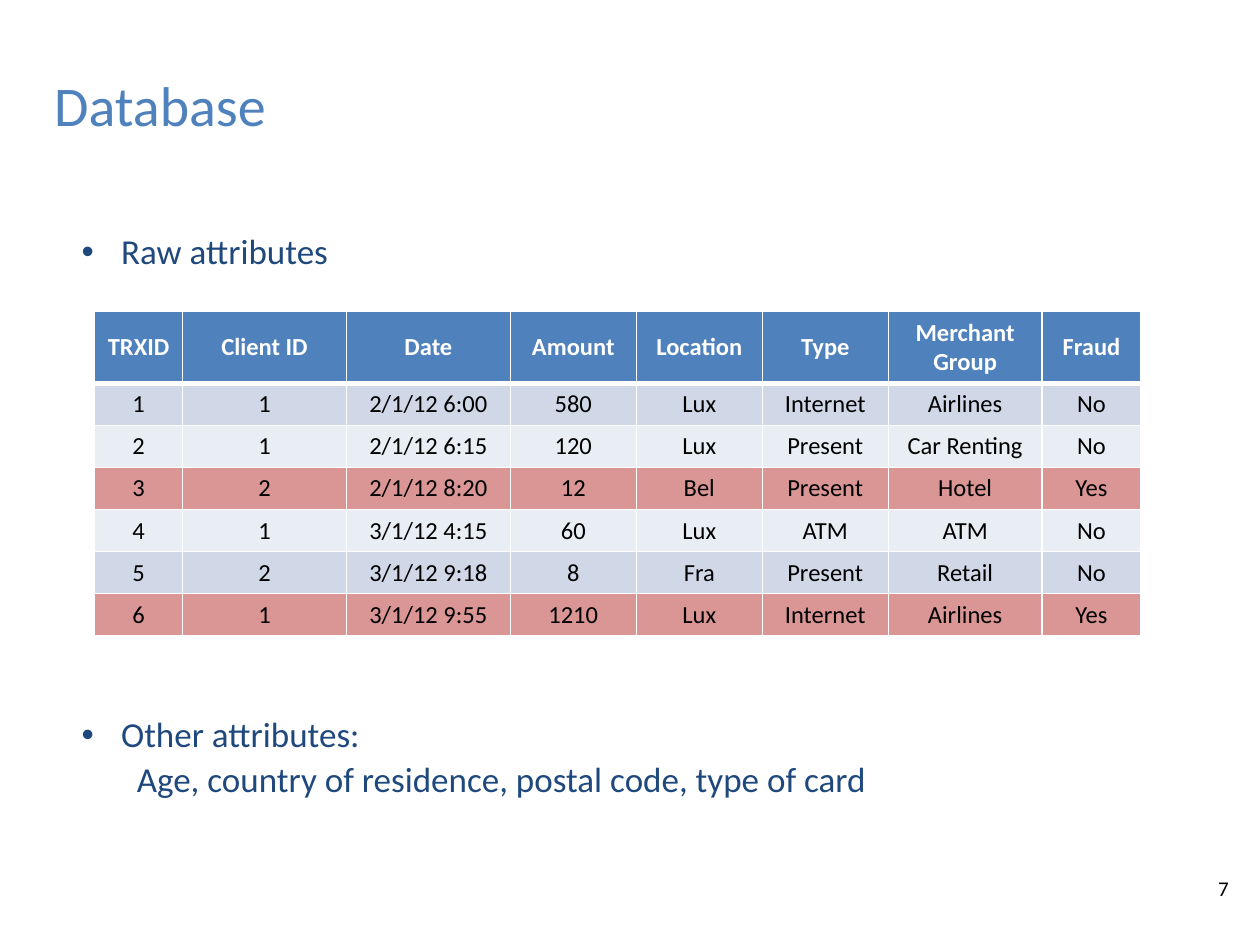
from typing import NamedTuple

from lxml.etree import SubElement
from pptx import Presentation
from pptx.dml.color import RGBColor
from pptx.enum.text import MSO_ANCHOR, PP_ALIGN
from pptx.oxml.ns import qn
from pptx.util import Pt

FONT = "Calibri"
WHITE, BLACK, NAVY, BLUE = "FFFFFF", "000000", "1F497D", "4F81BD"
DARK_BAND, LIGHT_BAND, FRAUD_BAND = "D0D8E8", "E9EDF4", "D99694"
COLUMN_WIDTHS = (50.4, 93.6, 93.6, 72, 72, 72, 87.84, 56.6)
HEADER_HEIGHT, ROW_HEIGHT = 41, 24


class Transaction(NamedTuple):
    number: str
    client: str
    date: str
    amount: str
    location: str
    kind: str
    merchant_group: str
    fraud: str


class BodyLine(NamedTuple):
    text: str
    space_before: float
    margin: float
    bullet: bool


HEADER = Transaction("TRXID", "Client ID", "Date", "Amount", "Location", "Type",
                     "Merchant Group", "Fraud")
TRANSACTIONS = (
    Transaction("1", "1", "2/1/12 6:00", "580", "Lux", "Internet", "Airlines", "No"),
    Transaction("2", "1", "2/1/12 6:15", "120", "Lux", "Present", "Car Renting", "No"),
    Transaction("3", "2", "2/1/12 8:20", "12", "Bel", "Present", "Hotel", "Yes"),
    Transaction("4", "1", "3/1/12 4:15", "60", "Lux", "ATM", "ATM", "No"),
    Transaction("5", "2", "3/1/12 9:18", "8", "Fra", "Present", "Retail", "No"),
    Transaction("6", "1", "3/1/12 9:55", "1210", "Lux", "Internet", "Airlines", "Yes"),
)
BODY_LINES = (
    BodyLine("Raw attributes", 0, 22.5, True),
    BodyLine("Other attributes:", 254.5, 22.5, True),
    BodyLine("Age, country of residence, postal code, type of card", 4, 31.5, False),
)


def color(value: str) -> RGBColor:
    return RGBColor.from_string(value)


def style_font(paragraph, size: float, font_color: str, bold: bool = False) -> None:
    font = paragraph.font
    font.name, font.size, font.bold = FONT, Pt(size), bold
    font.color.rgb = color(font_color)


def add_text_box(slide, left: float, top: float, width: float, height: float, wrap: bool = True):
    box = slide.shapes.add_textbox(Pt(left), Pt(top), Pt(width), Pt(height))
    box.text_frame.word_wrap = wrap
    return box.text_frame


def add_label(slide, text: str, left: float, top: float, width: float, height: float,
              size: float, font_color: str) -> None:
    paragraph = add_text_box(slide, left, top, width, height, wrap=False).paragraphs[0]
    paragraph.text = text
    style_font(paragraph, size, font_color)


def add_body(slide) -> None:
    frame = add_text_box(slide, 39.6, 106.5, 649.5, 390)
    frame.margin_top = Pt(27.5)
    for index, line in enumerate(BODY_LINES):
        paragraph = frame.add_paragraph() if index else frame.paragraphs[0]
        paragraph.text = line.text
        paragraph.line_spacing = 0.9
        paragraph.space_before = Pt(line.space_before)
        style_font(paragraph, 20, NAVY)
        properties = paragraph._p.get_or_add_pPr()
        properties.set("marL", str(Pt(line.margin)))
        properties.set("indent", str(-Pt(line.margin) if line.bullet else 0))
        if line.bullet:
            bullet_font = properties.makeelement(qn("a:buFont"), {"typeface": "Arial"})
            bullet = properties.makeelement(qn("a:buChar"), {"char": "•"})
            default_run = properties.find(qn("a:defRPr"))
            default_run.addprevious(bullet_font)
            default_run.addprevious(bullet)


def set_borders(cell, top: float, bottom: float) -> None:
    properties = cell._tc.get_or_add_tcPr()
    for side, width in (("L", 1), ("R", 1), ("T", top), ("B", bottom)):
        line = SubElement(properties, qn(f"a:ln{side}"), w=str(Pt(width)))
        fill = SubElement(line, qn("a:solidFill"))
        SubElement(fill, qn("a:srgbClr"), val=WHITE)


def row_fill(index: int, row: Transaction) -> str:
    if index == 0:
        return BLUE
    if row.fraud == "Yes":
        return FRAUD_BAND
    return DARK_BAND if index % 2 else LIGHT_BAND


def add_transaction_table(slide) -> None:
    rows = (HEADER, *TRANSACTIONS)
    height = HEADER_HEIGHT + ROW_HEIGHT * len(TRANSACTIONS)
    table = slide.shapes.add_table(len(rows), len(COLUMN_WIDTHS), Pt(54), Pt(178),
                                   Pt(sum(COLUMN_WIDTHS)), Pt(height)).table
    table.horz_banding = False
    for column, width in zip(table.columns, COLUMN_WIDTHS):
        column.width = Pt(width)
    for row_index, row in enumerate(rows):
        is_header = row_index == 0
        table.rows[row_index].height = Pt(HEADER_HEIGHT if is_header else ROW_HEIGHT)
        for column_index, text in enumerate(row):
            cell = table.cell(row_index, column_index)
            set_borders(cell, top=3 if row_index == 1 else 1, bottom=3 if is_header else 1)
            cell.fill.solid()
            cell.fill.fore_color.rgb = color(row_fill(row_index, row))
            cell.vertical_anchor = MSO_ANCHOR.MIDDLE
            paragraph = cell.text_frame.paragraphs[0]
            paragraph.text = text
            paragraph.alignment = PP_ALIGN.CENTER
            style_font(paragraph, 14, WHITE if is_header else BLACK, bold=is_header)


def main() -> None:
    presentation = Presentation()
    presentation.slide_width, presentation.slide_height = Pt(720), Pt(540)
    slide = presentation.slides.add_slide(presentation.slide_layouts[6])
    add_body(slide)
    add_label(slide, "Database", 23.8, 36.7, 137, 46, 32, BLUE)
    add_transaction_table(slide)
    add_label(slide, "7", 689, 496.8, 31, 28.8, 12, BLACK)
    presentation.save("out.pptx")


if __name__ == "__main__":
    main()
